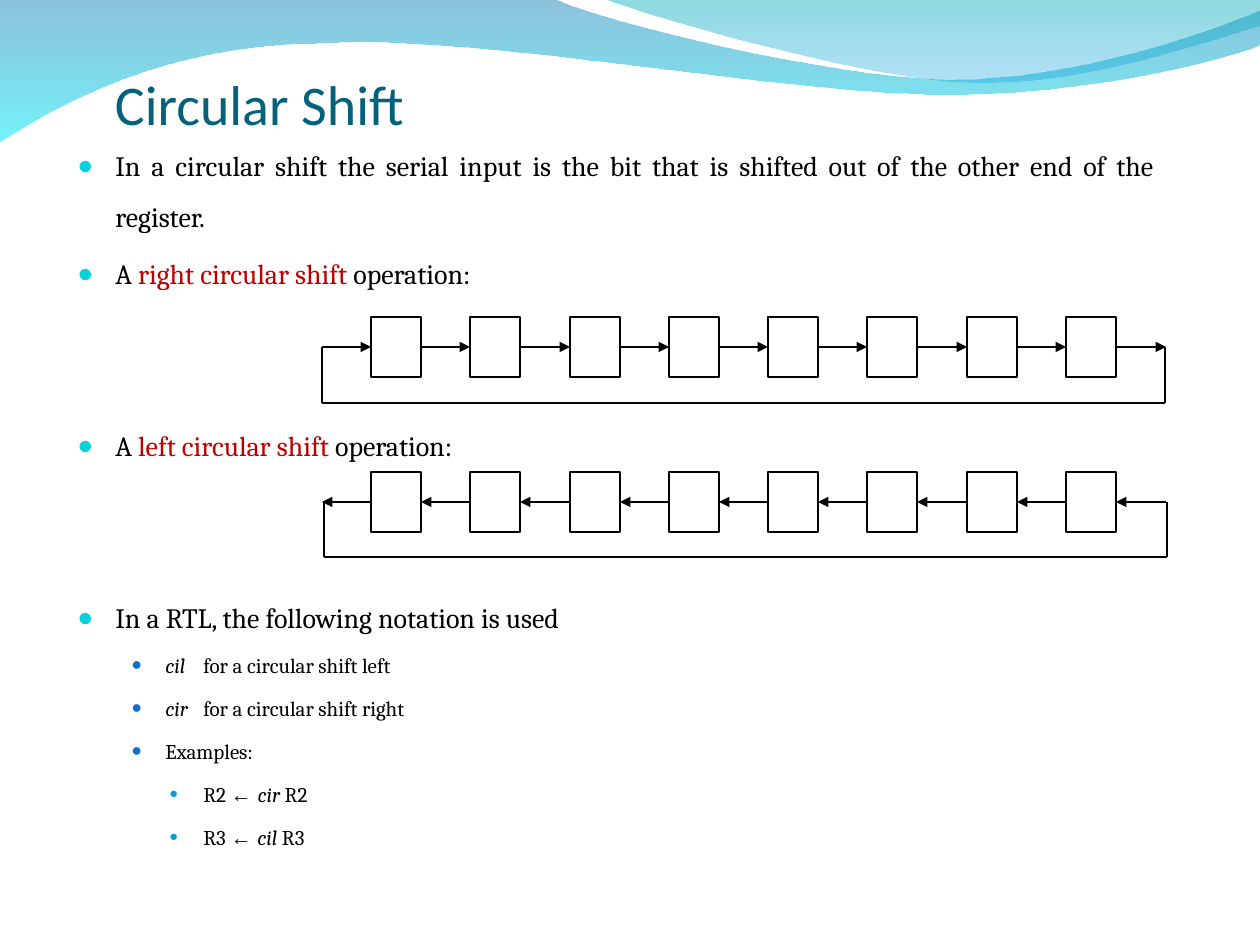
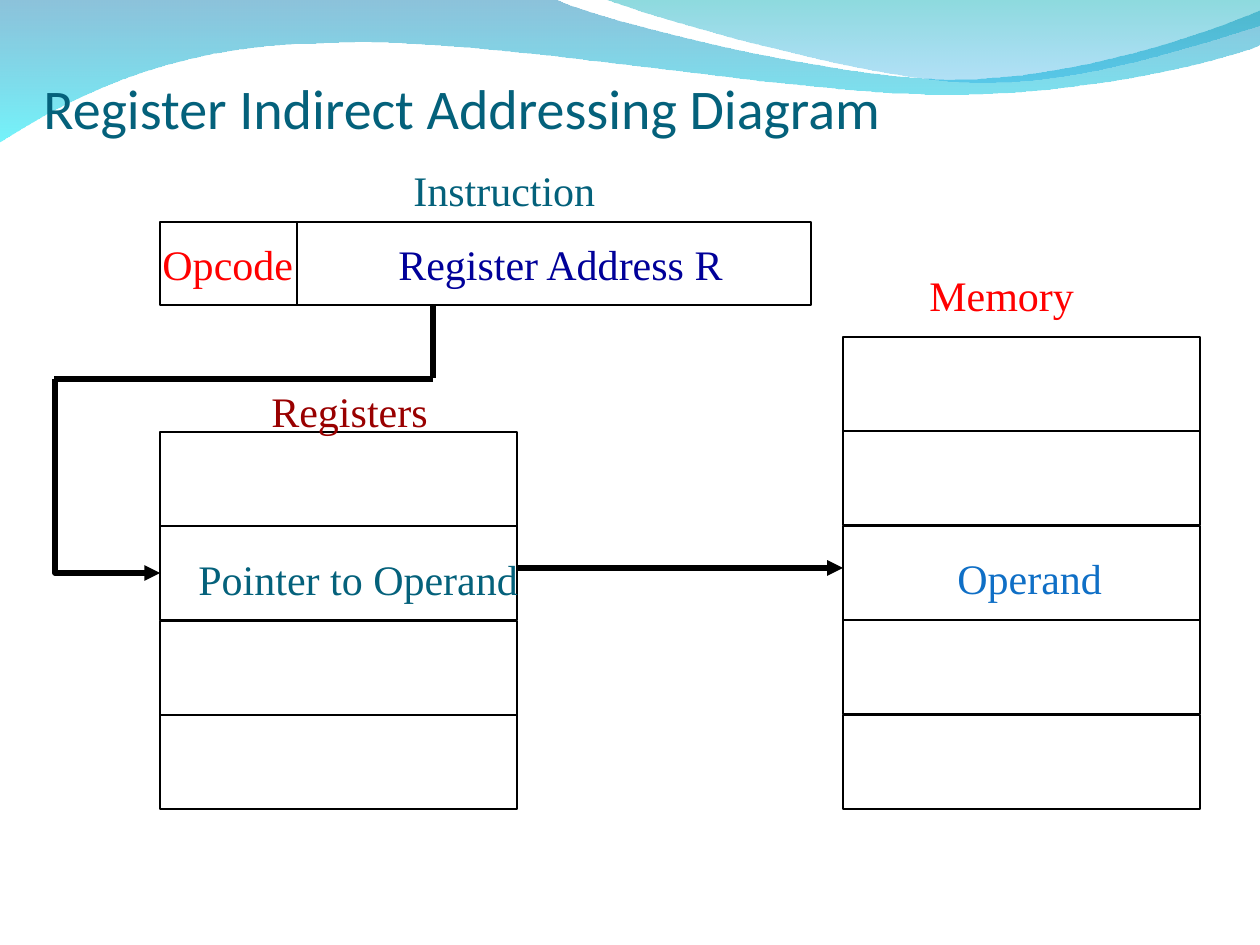
from dataclasses import dataclass

from lxml import etree
from pptx import Presentation
from pptx import util as u
from pptx.dml.color import RGBColor
from pptx.enum import shapes, text
from pptx.oxml.ns import qn

PX = 7257  # EMU in one px, 126 px to the inch


@dataclass(frozen=True)
class Theme:
    black: str = "000000"
    teal: str = "04617B"
    blue: str = "0F6FC6"
    navy: str = "000099"
    red: str = "FF0000"
    maroon: str = "990000"
    accent: str = "C00000"
    bullets: tuple = ("0BD0D9", "0F6FC6", "009DD9")
    bullet_pct: tuple = (95, 85, 70)
    body_pt: tuple = (16, 12, 12)
    title_pt: int = 32
    label_pt: int = 24
    thin_pt: int = 1
    thick_pt: int = 3
    title_font: str = "Calibri"
    body_font: str = "Cambria"
    label_font: str = "Times New Roman"
    symbol_font: str = "Arial"


T = Theme()


def line(s, start, end, pt=T.thin_pt, arrow=False):
    c = s.shapes.add_connector(shapes.MSO_CONNECTOR.STRAIGHT, *[v * PX for v in start + end])
    c.line.width = u.Pt(pt)
    c.line.color.rgb = RGBColor.from_string(T.black)
    if arrow:
        etree.SubElement(c.line._get_or_add_ln(), qn("a:tailEnd"), type="triangle")
    etree.SubElement(c._element.spPr, qn("a:effectLst"))
    return c


def label(s, words, box, color, size=T.label_pt, font=T.label_font, **frame):
    tf = s.shapes.add_textbox(*[v * PX for v in box]).text_frame
    for key, value in {"word_wrap": False, **frame}.items():
        setattr(tf, key, value)
    r = tf.paragraphs[0].add_run()
    r.text = words
    r.font.name, r.font.size = font, u.Pt(size)
    r.font.color.rgb = RGBColor.from_string(color)


prs = Presentation()
prs.slide_width, prs.slide_height = 1260 * PX, 945 * PX
slides = [prs.slides.add_slide(prs.slide_layouts[6]) for _ in range(2)]
boxes = []  # outlined rectangles of both slides

# Header waves: one point is a straight step, three are a Bezier curve
waves = [
    ((0, -1),
     [[(554, -1)],
      [(600, 21), (837, 79), (955, 79)], [(1075, 79), (1207, 33), (1260, 11)],
      [(1261, 45)], [(1239, 55), (1096, 96), (940, 94)],
      [(783, 94), (481, 35), (324, 43)], [(163, 44), (58, 105), (-1, 142)]],
     [("0079AF", 45), ("00EBF8", 55)]),
    ((604, -1),
     [[(641, 14), (859, 78), (969, 82)], [(1079, 87), (1211, 40), (1260, 26)],
      [(1260, 0)]],
     [("00ADB6", 45), ("009BE5", 30)]),
]
for s in slides:
    for start, steps, stops in waves:
        builder = s.shapes.build_freeform(*start, scale=PX)
        builder.add_line_segments([pt for step in steps for pt in step], close=True)
        sp = builder.convert_to_shape()
        segments = iter(list(sp._element.iter(qn("a:lnTo"))))
        for step in steps:
            parts = [next(segments) for _ in step]
            if len(step) == 3:
                curve = etree.Element(qn("a:cubicBezTo"))
                parts[0].addprevious(curve)
                for part in parts:
                    curve.append(part[0])
                    part.getparent().remove(part)
        sp.shadow.inherit = False
        sp.line.fill.background()
        sp.fill.gradient()
        sp.fill.gradient_angle = 270
        for stop, (color, _) in zip(sp.fill.gradient_stops, stops):
            stop.color.rgb = RGBColor.from_string(color)
        for clr, (_, alpha) in zip(sp._element.spPr.iter(qn("a:srgbClr")), stops):
            etree.SubElement(clr, qn("a:alpha"), val=str(alpha * 1000))

# Titles
title = dict(color=T.teal, size=T.title_pt, font=T.title_font, word_wrap=True,
             vertical_anchor=text.MSO_ANCHOR.BOTTOM)
label(slides[0], "Circular Shift", (115, 77, 472, 60), margin_left=0, margin_right=0,
      margin_bottom=0, **title)
label(slides[1], "Register Indirect Addressing Diagram", (31, 78, 1134, 69), **title)

# Slide 1: body text as (level, space before, runs)
s = slides[0]
red, italic = {"color": T.accent}, {"italic": True}
arrow = ("← ", {"font": T.symbol_font})
body = [
    (0, 0, [("In a circular shift the serial input is the bit that is shifted out of "
             "the other end of the register.", {})]),
    (0, 4, [("A ", {}), ("right circular shift", red), (" operation:", {})]),
    (0, 69.5, [("A ", {}), ("left circular shift", red), (" operation:", {})]),
    (0, 69.5, [("In a RTL, the following notation is used", {})]),
    (1, 3, [("cil\t", italic), ("for a circular shift left", {})]),
    (1, 3, [("cir\t", italic), ("for a circular shift right", {})]),
    (1, 3, [("Examples:", {})]),
    (2, 3, [("R2 ", {}), arrow, ("cir", italic), (" R2", {})]),
    (2, 3, [("R3 ", {}), arrow, ("cil", italic), (" R3", {})]),
]
indents = [(38, -38), (88, -34), (126, -34)]
tf = s.shapes.add_textbox(65 * PX, 126 * PX, 1102 * PX, 780 * PX).text_frame
tf.word_wrap = True
for i, (level, before, runs) in enumerate(body):
    p = tf.add_paragraph() if i else tf.paragraphs[0]
    pPr = p._p.get_or_add_pPr()
    for key, value in zip(("marL", "indent"), indents[level]):
        pPr.set(key, str(value * PX))
    clr = etree.SubElement(pPr, qn("a:buClr"))
    etree.SubElement(clr, qn("a:srgbClr"), val=T.bullets[level])
    etree.SubElement(pPr, qn("a:buSzPct"), val=str(T.bullet_pct[level] * 1000))
    etree.SubElement(pPr, qn("a:buFont"), typeface=T.symbol_font)
    etree.SubElement(pPr, qn("a:buChar"), char="●")
    tabs = etree.SubElement(pPr, qn("a:tabLst"))
    etree.SubElement(tabs, qn("a:tab"), pos=str(126 * PX), algn="l")
    layout = {"level": level, "alignment": text.PP_ALIGN.JUSTIFY, "line_spacing": 1.5,
              "space_before": u.Pt(before)}
    for key, value in layout.items():
        setattr(p, key, value)
    for words, look in runs:
        r = p.add_run()
        r.text = words
        r.font.name = look.get("font", T.body_font)
        r.font.size = u.Pt(T.body_pt[level])
        r.font.italic = look.get("italic", False)
        r.font.color.rgb = RGBColor.from_string(look.get("color", T.black))

# Slide 1: shift registers, eight cells with a return path below
for top, left, right, bottom, shifts_right in ((317, 322, 1165, 403, True),
                                               (472, 324, 1167, 557, False)):
    middle = top + 30
    cells = [s.shapes.add_shape(shapes.MSO_SHAPE.RECTANGLE, (371 + round(695 * i / 7)) * PX,
                                top * PX, 50 * PX, 60 * PX) for i in range(8)]
    boxes += cells
    for before, after in zip([None] + cells, cells + [None]):
        start = (before.left + before.width) // PX if before else 322
        end = after.left // PX if after else 1166
        ends = [((start, middle), before, 3), ((end, middle), after, 1)]
        if not shifts_right:
            ends.reverse()
        c = line(s, ends[0][0], ends[1][0], arrow=True)
        for join, (_, cell, side) in zip((c.begin_connect, c.end_connect), ends):
            if cell:
                join(cell, side)
    for x in (left, right):
        line(s, (x, bottom), (x, middle))
    line(s, (left, bottom), (right, bottom))

# Slide 2: instruction word, memory and register stacks
s = slides[1]
frames = [(160, 222, 651, 83)]
for x, y, rows in ((843, 337, 5), (160, 432, 4)):
    frames += [(x, y + 189 * i // 2, 357, 94) for i in range(rows)]
boxes += [s.shapes.add_shape(shapes.MSO_SHAPE.RECTANGLE, *[v * PX for v in f]) for f in frames]
line(s, (297, 223), (297, 305))

for words, x, y, w, color in (
        ("Register Address R", 386, 232, 352, T.navy),
        ("Opcode", 150, 232, 158, T.red),
        ("Instruction", 401, 158, 208, T.teal),
        ("Memory", 917, 263, 171, T.red),
        ("Operand", 945, 546, 171, T.blue),
        ("Pointer to Operand", 186, 547, 346, T.teal),
        ("Registers", 259, 379, 185, T.maroon)):
    label(s, words, (x, y, w, 63), color, auto_size=text.MSO_AUTO_SIZE.SHAPE_TO_FIT_TEXT)

# Slide 2: route from the address to the register, then to memory
line(s, (433, 306), (433, 378), T.thick_pt)
line(s, (433, 379), (54, 379), T.thick_pt)
line(s, (517, 568), (843, 568), T.thick_pt, arrow=True)
builder = s.shapes.build_freeform(55, 379, scale=PX)
builder.add_line_segments([(55, 573), (160, 573)], close=False)
route = builder.convert_to_shape()

# Outlines without fill
for sp in boxes + [route]:
    sp.shadow.inherit = False
    sp.fill.background()
    sp.line.color.rgb = RGBColor.from_string(T.black)
    sp.line.width = u.Pt(T.thick_pt if sp is route else T.thin_pt)
etree.SubElement(route.line._get_or_add_ln(), qn("a:tailEnd"), type="triangle")

prs.save("out.pptx")
